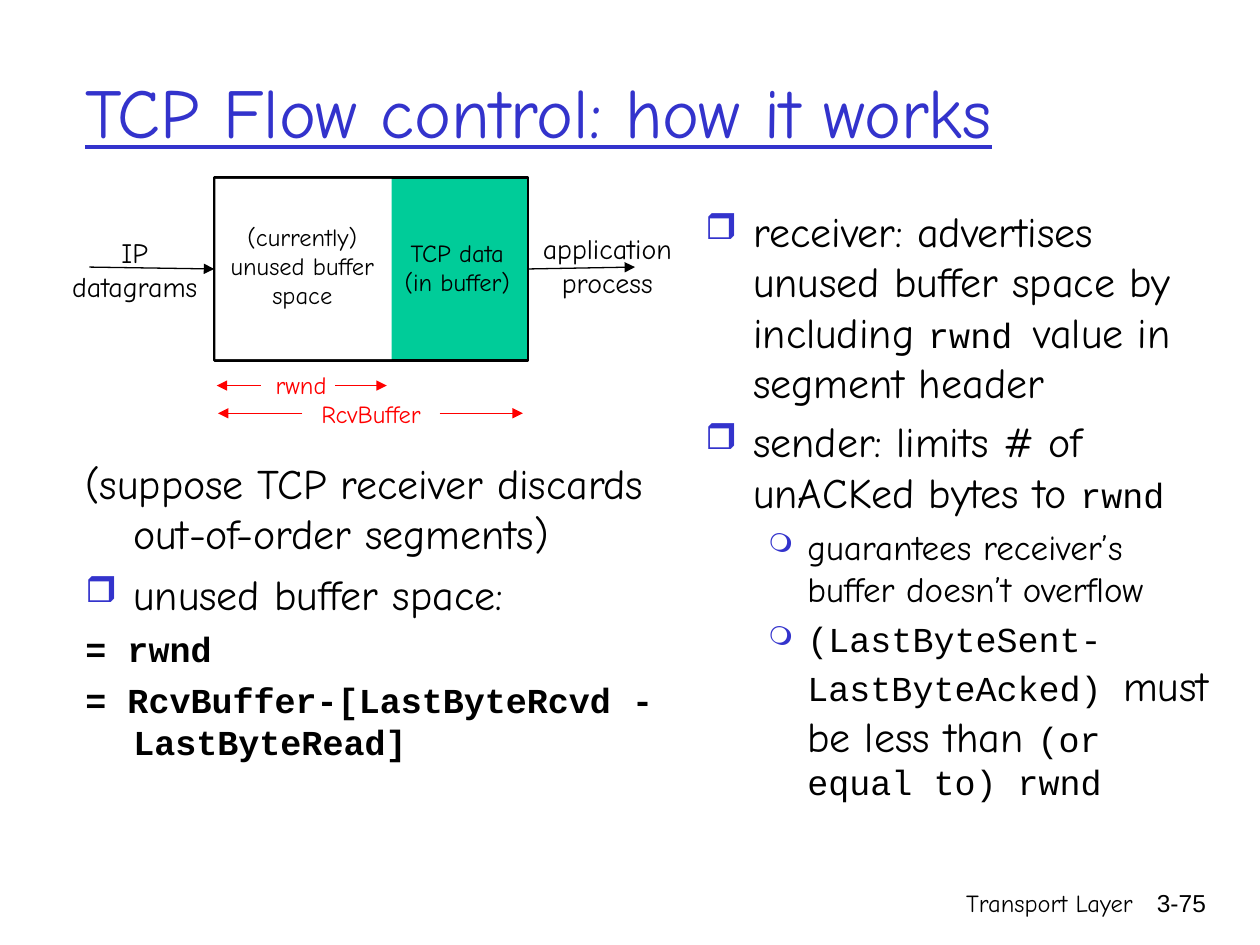
from dataclasses import dataclass

from lxml.etree import SubElement
from pptx import Presentation
from pptx.dml.color import RGBColor
from pptx.enum.shapes import MSO_CONNECTOR, MSO_SHAPE
from pptx.enum.text import MSO_ANCHOR, MSO_AUTO_SIZE, PP_ALIGN
from pptx.oxml.ns import qn
from pptx.util import Inches, Pt


@dataclass(frozen=True)
class Theme:
    black: RGBColor = RGBColor(0, 0, 0)
    white: RGBColor = RGBColor(255, 255, 255)
    blue: RGBColor = RGBColor(0x33, 0x33, 0xCC)
    green: RGBColor = RGBColor(0, 0xCC, 0x99)
    red: RGBColor = RGBColor(255, 0, 0)
    hand: str = "Comic Neue"
    mono: str = "Courier New"
    sans: str = "Arial"
    title: Pt = Pt(40)
    body: Pt = Pt(24)
    sub: Pt = Pt(20)
    label: Pt = Pt(16)
    small: Pt = Pt(14)


T = Theme()
BIG = {"name": T.hand, "size": T.body}
SUB = {"name": T.hand, "size": T.sub}
CODE = {"name": T.mono, "size": T.sub}
BOLD = {**CODE, "bold": True}
SMALL = {"name": T.hand, "size": T.small}
# level, left margin, hanging indent, bullet sign, bullet size in percent
PLAIN = (0, 0.38, 0.38, None, 0)
SQUARE = (0, 0.38, 0.38, "❒", 85)
ROUND = (1, 0.81, 0.31, "❍", 75)

LEFT = [
    (PLAIN, 0, [("(suppose TCP receiver discards out-of-order segments)", BIG)]),
    (SQUARE, 6, [("unused buffer space:", BIG)]),
    (PLAIN, 5, [("= rwnd", BOLD)]),
    (PLAIN, 5, [("= RcvBuffer-[LastByteRcvd - LastByteRead]", BOLD)]),
]
RIGHT = [
    (SQUARE, 0, [
        ("receiver: advertises unused buffer space by including ", BIG),
        ("rwnd ", CODE),
        ("value in segment header", BIG),
    ]),
    (SQUARE, 5, [("sender: limits # of unACKed bytes to ", BIG), ("rwnd", CODE)]),
    (ROUND, 5, [("guarantees receiver’s buffer doesn’t overflow", SUB)]),
    (ROUND, 5, [
        ("(LastByteSent-LastByteAcked) ", CODE),
        ("must be less than ", BIG),
        ("(or equal to) rwnd", CODE),
    ]),
]


def style(font, form, color):
    for key, value in form.items():
        setattr(font, key, value)
    font.color.rgb = color


def add_box(slide, at, wrap=True):
    frame = slide.shapes.add_textbox(*map(Inches, at)).text_frame
    frame.word_wrap = wrap
    return frame


def add_lines(slide, at, lines, form, color=T.black, align=PP_ALIGN.CENTER, wrap=False):
    """Place a text box with one paragraph per line."""
    frame = add_box(slide, at, wrap)
    if not wrap:
        frame.auto_size = MSO_AUTO_SIZE.SHAPE_TO_FIT_TEXT
    for i, line in enumerate(lines):
        para = frame.paragraphs[0] if i == 0 else frame.add_paragraph()
        para.alignment = align
        run = para.add_run()
        run.text = line
        style(run.font, form, color)
    return frame


def set_list(para, kind):
    """Give a paragraph its level, hanging indent and bullet."""
    level, left, hang, sign, size = kind
    para.level = level
    props = para._p.get_or_add_pPr()
    props.set("marL", str(Inches(left)))
    props.set("indent", str(-Inches(hang)))
    if sign is None:
        SubElement(props, qn("a:buNone"))
        return
    tint = SubElement(props, qn("a:buClr"))
    SubElement(tint, qn("a:srgbClr"), val=str(T.blue))
    SubElement(props, qn("a:buSzPct"), val=str(size * 1000))
    SubElement(props, qn("a:buChar"), char=sign)


def add_list(slide, at, items):
    frame = add_box(slide, at)
    for i, (kind, gap, runs) in enumerate(items):
        para = frame.paragraphs[0] if i == 0 else frame.add_paragraph()
        set_list(para, kind)
        para.space_before = Pt(gap)
        for text, form in runs:
            run = para.add_run()
            run.text = text
            style(run.font, form, T.black)


def add_rect(slide, at, fill, edge=None):
    rect = slide.shapes.add_shape(MSO_SHAPE.RECTANGLE, *map(Inches, at))
    rect.shadow.inherit = False
    rect.fill.solid()
    rect.fill.fore_color.rgb = fill
    if edge is None:
        rect.line.fill.background()
    else:
        rect.line.color.rgb = edge
        rect.line.width = Pt(1.5)
    return rect


def add_arrow(slide, ends, color):
    arrow = slide.shapes.add_connector(MSO_CONNECTOR.STRAIGHT, *map(Inches, ends))
    arrow.line.color.rgb = color
    arrow.line.width = Pt(0.75)
    SubElement(arrow.line._get_or_add_ln(), qn("a:tailEnd"), type="triangle")
    SubElement(arrow._element.spPr, qn("a:effectLst"))
    return arrow


def add_span(slide, at, name, tips, gap, y):
    """Label a width with two arrows that point away from the name."""
    add_lines(slide, at, [name], SMALL, T.red)
    for start, tip in zip(gap, tips):
        add_arrow(slide, (start, y, tip, y), T.red)


def draw_buffer(slide):
    store = add_rect(slide, (1.7, 1.41, 2.49, 1.45), T.green, T.black)
    add_rect(slide, (1.71, 1.42, 1.4, 1.43), T.white)
    add_arrow(slide, (0.71, 2.12, 1.7, 2.13), T.black).end_connect(store, 1)
    add_arrow(slide, (4.19, 2.13, 5.04, 2.12), T.black).begin_connect(store, 3)
    label = {"name": T.hand, "size": T.label}
    for at, lines, form in [
        ((0.47, 1.82, 1.2, 0.64), ["IP", "datagrams"], label),
        ((1.73, 1.71, 1.34, 0.8), ["(currently)", "unused buffer", "space"], SMALL),
        ((3.11, 1.84, 1.04, 0.57), ["TCP data", "(in buffer)"], SMALL),
        ((4.21, 1.79, 1.22, 0.64), ["application", "process"], label),
    ]:
        add_lines(slide, at, lines, form)
    add_span(slide, (2.04, 2.89, 0.7, 0.34), "rwnd", (1.72, 3.07), (2.07, 2.66), 3.06)
    add_span(slide, (2.4, 3.12, 1.09, 0.34), "RcvBuffer", (1.73, 4.15), (2.4, 3.49), 3.28)


def main():
    deck = Presentation()
    deck.slide_width, deck.slide_height = Inches(10), Inches(7.5)
    slide = deck.slides.add_slide(deck.slide_layouts[6])
    head = {"name": T.hand, "size": T.title, "underline": True}
    title = add_lines(slide, (0.58, 0.25, 8.5, 1.25), ["TCP Flow control: how it works"],
                      head, T.blue, PP_ALIGN.LEFT, True)
    title.vertical_anchor = MSO_ANCHOR.MIDDLE
    add_list(slide, (0.58, 3.58, 4.75, 3.25), LEFT)
    add_list(slide, (5.5, 1.58, 4.25, 5.08), RIGHT)
    draw_buffer(slide)
    page = {"name": T.sans, "size": T.small}
    for at, text, form in [
        ((5.92, 7, 3.17, 0.5), "Transport Layer", SMALL),
        ((8.93, 7, 0.74, 0.5), "3-75", page),
    ]:
        add_lines(slide, at, [text], form, align=PP_ALIGN.RIGHT, wrap=True)
    deck.save("out.pptx")


if __name__ == "__main__":
    main()
